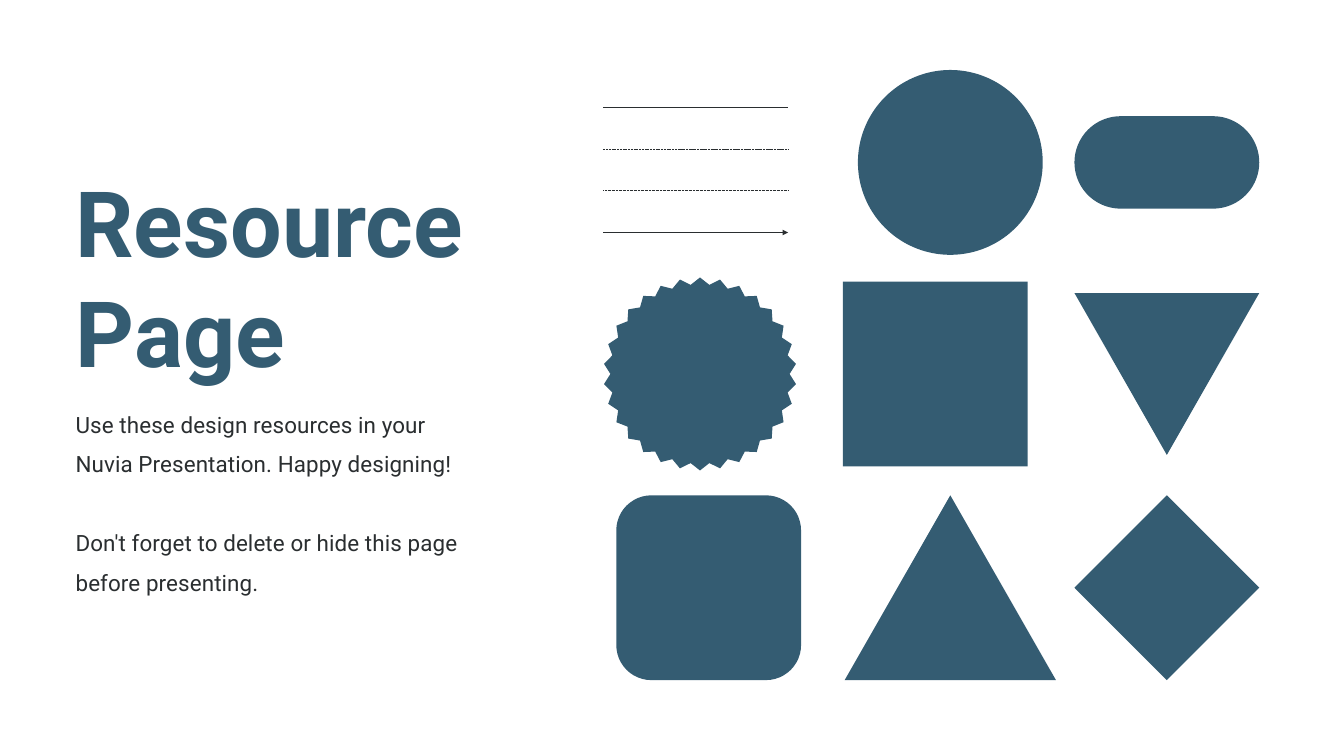
import math

from lxml import etree
from pptx import Presentation
from pptx import util as u
from pptx.dml.color import RGBColor
from pptx.enum import dml, shapes, text
from pptx.oxml import ns

BLUE = "345C72"
INK = "2A2E30"


def color(value):
    return RGBColor.from_string(value)


class ResourcePage:
    font = "Roboto"
    side = 198

    def __init__(self, slide):
        self.slide = slide

    def text(self, left, top, width, height, paragraphs, size, spacing, hue, bold=False, gap=0, tracking=0):
        box = self.slide.shapes.add_textbox(u.Pt(left), u.Pt(top), u.Pt(width), u.Pt(height))
        frame = box.text_frame
        frame.text = "\n".join(paragraphs)
        frame.word_wrap = True
        frame.auto_size = text.MSO_AUTO_SIZE.SHAPE_TO_FIT_TEXT
        frame.margin_left = frame.margin_top = frame.margin_right = frame.margin_bottom = 0
        for index, paragraph in enumerate(frame.paragraphs):
            paragraph.line_spacing = u.Pt(spacing)
            if index:
                paragraph.space_before = u.Pt(gap)
            for run in paragraph.runs:
                run.font.name = self.font
                run.font.size = u.Pt(size)
                run.font.bold = bold
                run.font.color.rgb = color(hue)
                if tracking:
                    run.font._element.set("spc", str(tracking))

    def paint(self, shape):
        shape.shadow.inherit = False
        shape.fill.solid()
        shape.fill.fore_color.rgb = color(BLUE)
        shape.line.fill.background()

    def preset(self, kind, center_x, center_y, width=side, height=side, rounding=None):
        shape = self.slide.shapes.add_shape(
            kind, u.Pt(center_x - width / 2), u.Pt(center_y - height / 2), u.Pt(width), u.Pt(height)
        )
        if rounding is not None:
            shape.adjustments[0] = rounding
        self.paint(shape)

    def starburst(self, center_x, center_y, outer, inner, teeth):
        points = []
        for index in range(2 * teeth):
            radius = inner if index % 2 else outer
            angle = math.pi * index / teeth
            points.append((
                u.Pt(center_x + radius * math.sin(angle)),
                u.Pt(center_y - radius * math.cos(angle)),
            ))
        builder = self.slide.shapes.build_freeform(*points[0])
        builder.add_line_segments(points[1:], close=True)
        self.paint(builder.convert_to_shape())

    def line(self, left, top, dash=None, arrow=False):
        connector = self.slide.shapes.add_connector(
            shapes.MSO_CONNECTOR.STRAIGHT, u.Pt(left), u.Pt(top), u.Pt(left + self.side), u.Pt(top)
        )
        connector.line.width = u.Pt(0.75)
        connector.line.color.rgb = color(INK)
        if dash:
            connector.line.dash_style = dash
        properties = connector._element.spPr
        if arrow:
            outline = properties.find(ns.qn("a:ln"))
            etree.SubElement(outline, ns.qn("a:tailEnd"), type="triangle")
        etree.SubElement(properties, ns.qn("a:effectLst"))


def main():
    presentation = Presentation()
    presentation.slide_width = u.Pt(1440)
    presentation.slide_height = u.Pt(810)
    page = ResourcePage(presentation.slides.add_slide(presentation.slide_layouts[6]))

    page.text(81, 178, 439, 234, ["Resource Page"], 98, 117.6, BLUE, bold=True)
    page.text(
        81, 427, 439, 205,
        [
            "Use these design resources in your Nuvia Presentation. Happy designing!",
            "Don't forget to delete or hide this page before presenting.",
        ],
        24, 42.2, INK, gap=42.2, tracking=10,
    )

    line_styles = [
        (None, False),
        (dml.MSO_LINE.SQUARE_DOT, False),
        (dml.MSO_LINE.ROUND_DOT, False),
        (None, True),
    ]
    for index, (dash, arrow) in enumerate(line_styles):
        page.line(646.5, 115.2 + 44.64 * index, dash, arrow)

    kind = shapes.MSO_SHAPE
    top, center, bottom = 174, 400.7, 629.7
    middle, right = 1018.2, 1250.2
    page.preset(kind.OVAL, middle, top)
    page.preset(kind.ROUNDED_RECTANGLE, right, top, height=99, rounding=0.5)
    page.starburst(750, center, 103.4, 96, 30)
    page.preset(kind.RECTANGLE, 1002, center)
    page.preset(kind.FLOWCHART_MERGE, right, center, height=173.5)
    page.preset(kind.ROUNDED_RECTANGLE, 759.3, bottom, rounding=0.19)
    page.preset(kind.ISOSCELES_TRIANGLE, middle, bottom, width=226.4)
    page.preset(kind.DIAMOND, right, bottom)

    presentation.save("out.pptx")


if __name__ == "__main__":
    main()
